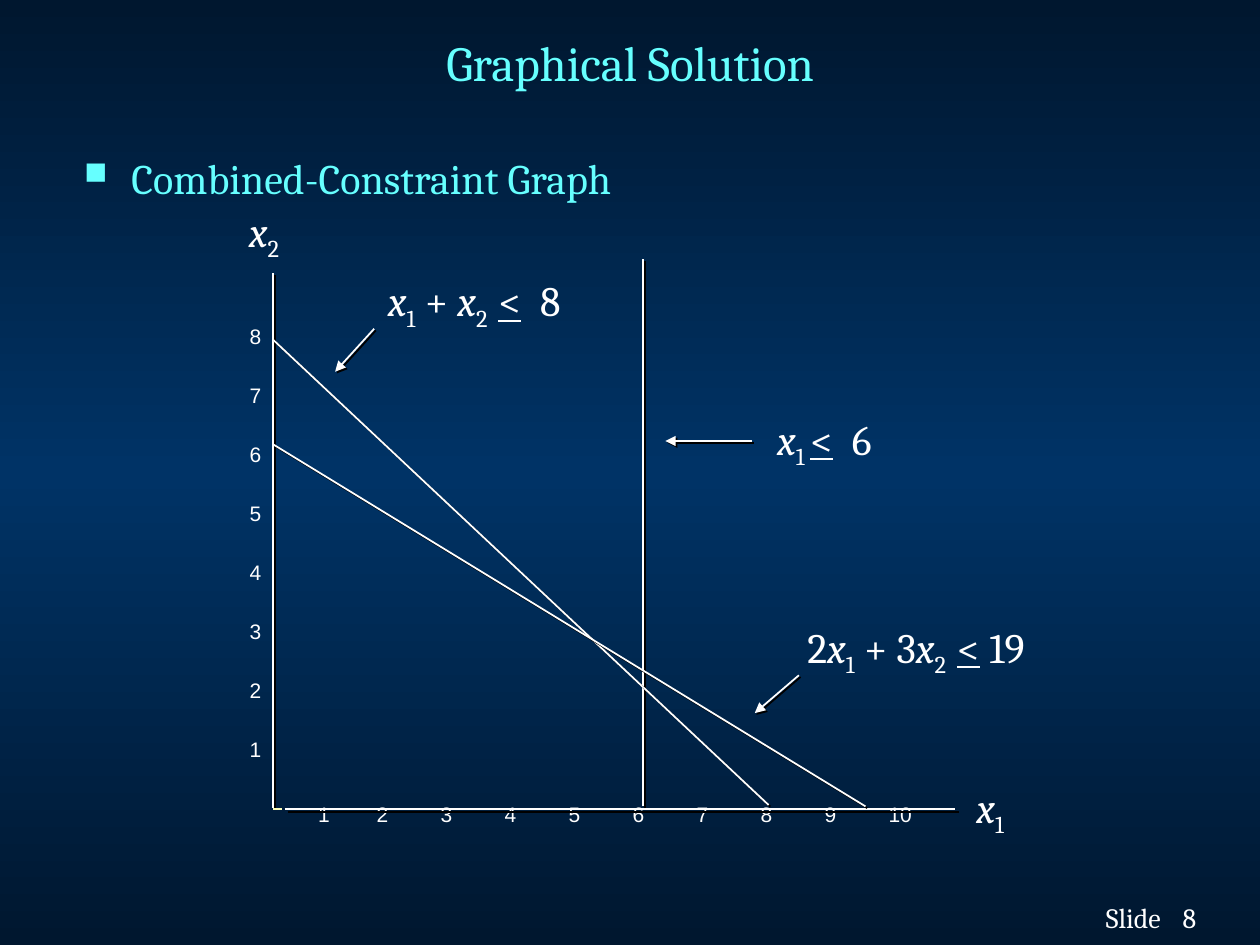
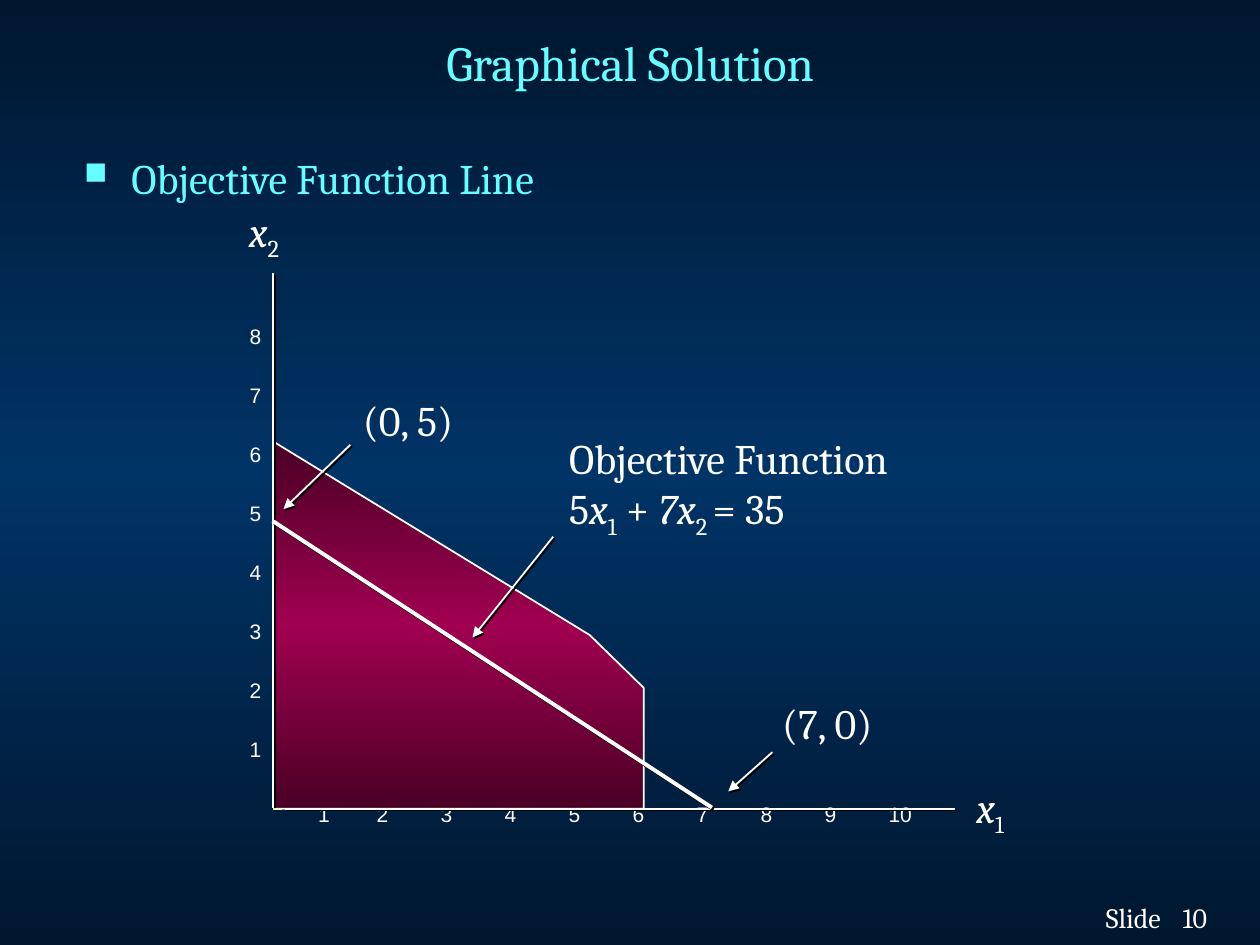
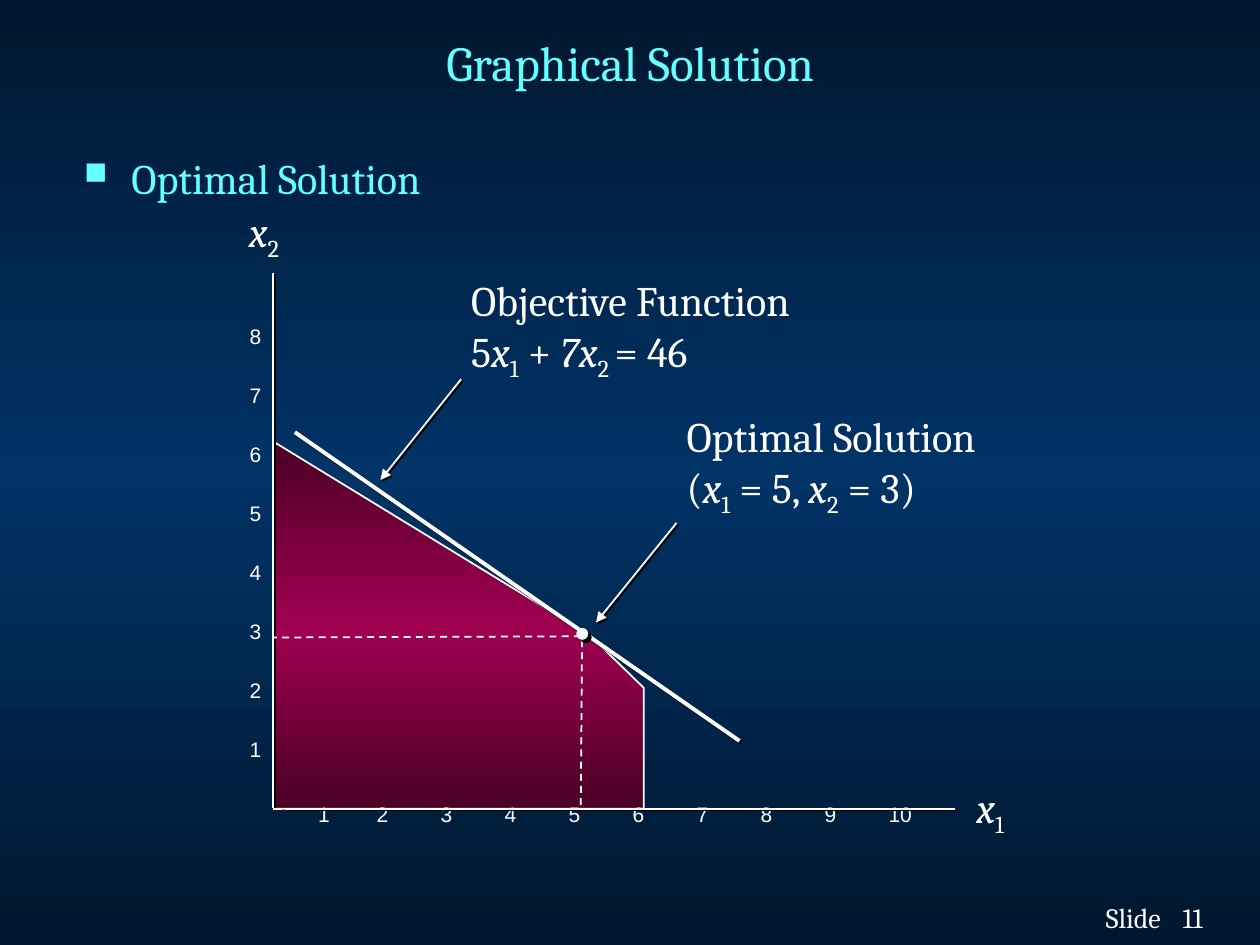
import copy

import pptx
import pptx.dml.color
import pptx.enum.dml
import pptx.enum.shapes
import pptx.enum.text
import pptx.oxml
import pptx.oxml.ns
import pptx.util
from pptx.util import Pt

COLOURS = {
    "background_edge": "00172F", "background_middle": "003366",
    "region_edge": "4A0025", "region_middle": "A00050",
    "heading": "66FFFF", "text": "FFFFFF", "origin": "FCFEB9", "shadow": "000000",
}
SERIF, SANS = "Cambria", "Arial"
TITLE = "Graphical Solution"

# A formula is a list of (text, style) runs.
X1 = [("x", "italic"), ("1", "subscript")]
X2 = [("x", "italic"), ("2", "subscript")]


def objective(value):
    return [[("Objective Function", "")],
            [("5", ""), *X1, (" + ", ""), ("7x", "italic"), ("2 ", "subscript"), (f"= {value}", "")]]


# Line styles: width, arrowhead, dashed, shadow
LINE_STYLES = {
    "plain": (1, False, False, True),
    "thick": (2.25, False, False, True),
    "arrow": (1, True, False, True),
    "dashed": (1, False, True, False),
    "origin": (1, False, False, False),
}
REGION = [(156.6, 252.6), (337, 362.9), (367.9, 393.1), (367.9, 462.2), (156.6, 462.2)]

# Labels: (left, top, width, height), paragraphs, shadowed
# Lines: x1, y1, x2, y2, style
SLIDES = [
    {
        "number": "8", "heading": "Combined-Constraint Graph", "axis_shadow": 2.8,
        "labels": [
            ((454.3, 351.4, 203.8, 36),
             [[("2", ""), *X1, (" + 3", ""), ("x", "italic"), ("2  ", "subscript"),
               ("<", "underline"), (" 19", "")]], False),
            ((214.6, 153.4, 131, 36),
             [[*X1, (" + ", ""), ("x", "italic"), ("2  ", "subscript"),
               ("<", "underline"), ("  8", "")]], False),
            ((437, 232.6, 78.5, 36),
             [[("x", "italic"), ("1 ", "subscript"), ("<", "underline"), ("  6", "")]], False),
        ],
        "lines": [
            (367.4, 460.8, 367.4, 148.3, "plain"),
            (155.8, 193.9, 439.2, 460, "plain"),
            (156.2, 254, 494.6, 460.8, "plain"),
            (213.8, 187.9, 191.5, 212.4, "arrow"),
            (429.8, 252, 380.2, 252, "arrow"),
            (456.5, 385.9, 431.3, 407.5, "arrow"),
        ],
    },
    {
        "number": "10", "heading": "Objective Function Line", "region": "over labels",
        "labels": [
            ((439.9, 395.3, 66.2, 36), [[("(7, 0)", "")]], False),
            ((200.2, 221.8, 66.2, 36), [[("(0, 5)", "")]], False),
            ((318.2, 243.4, 214.6, 64.8), objective(35), True),
        ],
        "lines": [
            (155.8, 297.7, 406.8, 461.5, "thick"),
            (441.4, 429.8, 416.2, 452.2, "arrow"),
            (316.1, 306.7, 270, 364.3, "arrow"),
            (200.2, 254.2, 162, 290.9, "arrow"),
        ],
    },
    {
        "number": "11", "heading": "Optimal Solution", "region": "under labels",
        "optimum": (329.8, 359.3, 5.8, 5.8),
        "labels": [
            ((262.1, 153.4, 214.6, 64.8), objective(46), True),
            ((385.2, 231.1, 198, 64.8),
             [[("Optimal Solution", "")],
              [("(", ""), *X1, (" = 5, ", ""), *X2, (" = 3)", "")]], True),
        ],
        "lines": [
            (168.5, 247, 422.6, 423.4, "thick"),
            (263.5, 216.7, 217.4, 274.3, "arrow"),
            (332.6, 365.8, 331.9, 460.8, "dashed"),
            (331.9, 363.6, 156.2, 364.3, "dashed"),
            (386.6, 298.8, 340.6, 355.7, "arrow"),
        ],
    },
]


def rgb(name):
    return pptx.dml.color.RGBColor.from_string(COLOURS[name])


def add_element(parent, xml, index=None):
    """Add a DrawingML element, written without its namespace, to parent."""
    namespace = pptx.oxml.ns.nsdecls("a")
    tag, rest = xml.split(" ", 1)
    element = pptx.oxml.parse_xml(f"{tag} {namespace} {rest}")
    parent.insert(len(parent) if index is None else index, element)


def add_shadow(parent, distance=1.4, index=None):
    add_element(parent, f'<a:effectLst ><a:outerShdw dist="{Pt(distance)}" dir="2700000">'
                f'<a:srgbClr val="{COLOURS["shadow"]}"/></a:outerShdw></a:effectLst>', index)


def set_gradient(fill, element, name):
    """Fill with a vertical gradient: edge, middle, edge."""
    fill.gradient()
    fill.gradient_angle = 270
    stops = next(element.iter(pptx.oxml.ns.qn("a:gsLst")))
    stops.append(copy.deepcopy(stops[0]))
    for stop, part, position in zip(fill.gradient_stops, ("edge", "middle", "edge"), (0, 0.5, 1)):
        stop.color.rgb = rgb(f"{name}_{part}")
        stop.position = position


def set_font(paragraph, size, colour="text", name=SERIF):
    font = paragraph.font
    font.size, font.name, font.color.rgb = Pt(size), name, rgb(colour)


def add_text(slide, box, paragraphs, size=24, colour="text", name=SERIF,
             wrap=True, shadowed=False, inset=True):
    """Add a text box whose paragraphs are lists of (text, style) runs."""
    shape = slide.shapes.add_textbox(*map(Pt, box))
    frame = shape.text_frame
    frame.word_wrap = wrap
    if not inset:
        frame.margin_left = frame.margin_right = frame.margin_top = frame.margin_bottom = 0
    for number, runs in enumerate(paragraphs):
        paragraph = frame.add_paragraph() if number else frame.paragraphs[0]
        for text, style in runs:
            run = paragraph.add_run()
            run.text = text
            if style == "italic":
                run.font.italic = True
            elif style == "underline":
                run.font.underline = True
            properties = run._r.get_or_add_rPr()
            if style == "subscript":
                properties.set("baseline", "-25000")
            if shadowed:
                add_shadow(properties, index=0)
        set_font(paragraph, size, colour, name)
    return frame


def add_line(slide, x1, y1, x2, y2, style, shadow=1.4):
    width, arrow, dashed, shadowed = LINE_STYLES[style]
    connector = slide.shapes.add_connector(
        pptx.enum.shapes.MSO_CONNECTOR.STRAIGHT, *map(Pt, (x1, y1, x2, y2)))
    line = connector.line
    line.width = Pt(width)
    line.color.rgb = rgb("origin" if style == "origin" else "text")
    if dashed:
        line.dash_style = pptx.enum.dml.MSO_LINE.DASH
    if arrow:
        add_element(line._get_or_add_ln(), '<a:tailEnd type="triangle"/>')
    properties = connector._element.spPr
    if shadowed:
        add_shadow(properties, shadow)
    else:
        add_element(properties, "<a:effectLst />")


def add_headings(slide, heading):
    frame = add_text(slide, (41.8, 3.6, 636.5, 64), [[(TITLE, "")]], 28, "heading")
    frame.vertical_anchor = pptx.enum.text.MSO_ANCHOR.MIDDLE
    frame.paragraphs[0].alignment = pptx.enum.text.PP_ALIGN.CENTER

    frame = add_text(slide, (41, 83.5, 638, 394), [[]])
    paragraph = frame.paragraphs[0]
    paragraph.add_run().text = heading
    properties = paragraph._p.get_or_add_pPr()
    properties.attrib.clear()
    for child in list(properties):
        properties.remove(child)
    properties.set("marL", str(Pt(27)))
    properties.set("indent", str(-Pt(27)))
    add_element(properties, f'<a:buClr ><a:srgbClr val="{COLOURS["heading"]}"/></a:buClr>')
    add_element(properties, '<a:buSzPct val="75000"/>')
    add_element(properties, '<a:buChar char="■"/>')
    set_font(paragraph, 24, "heading")


def add_footer(slide, number):
    for left, width, text in ((624.9, 50, "Slide"), (668.7, 40, number)):
        add_text(slide, (left, 510.8, width, 26), [[(text, "")]], 16, shadowed=True)


def add_axis_numbers(slide):
    frame = add_text(slide, (142.6, 184.9, 12, 246), [[(str(n), "")] for n in range(8, 0, -1)],
                     12, name=SANS, inset=False)
    for paragraph in frame.paragraphs[1:]:
        paragraph.space_before = Pt(19.3)

    frame = add_text(slide, (181.8, 458, 360, 14), [[]], inset=False)
    paragraph = frame.paragraphs[0]
    paragraph.add_run().text = "\t".join(str(n) for n in range(1, 11))
    properties = paragraph._p.get_or_add_pPr()
    for child in list(properties):
        properties.remove(child)
    tabs = "".join(f'<a:tab pos="{Pt(33.4 + 36.57 * n)}" algn="l"/>' for n in range(9))
    add_element(properties, f"<a:tabLst >{tabs}</a:tabLst>")
    set_font(paragraph, 12, name=SANS)


def add_axes(slide, shadow):
    add_line(slide, 162.7, 462.2, 545.8, 462.2, "plain", shadow)
    add_line(slide, 156.2, 156.2, 156.2, 461.5, "plain")
    add_line(slide, 156.2, 462.2, 161.3, 462.2, "origin")
    add_text(slide, (135.2, 113.8, 35.5, 36), [X2], wrap=False, shadowed=True)
    add_text(slide, (550.8, 442.8, 34.6, 36), [X1], wrap=False, shadowed=True)


def style_outline(shape):
    shape.line.color.rgb = rgb("text")
    shape.line.width = Pt(1)
    shape.shadow.inherit = False


def add_region(slide):
    start, *rest = [tuple(map(Pt, point)) for point in REGION]
    builder = slide.shapes.build_freeform(*start)
    builder.add_line_segments(rest, close=True)
    shape = builder.convert_to_shape()
    set_gradient(shape.fill, shape._element, "region")
    style_outline(shape)


def add_optimum(slide, box):
    shape = slide.shapes.add_shape(pptx.enum.shapes.MSO_SHAPE.OVAL, *map(Pt, box))
    shape.fill.solid()
    shape.fill.fore_color.rgb = rgb("text")
    style_outline(shape)
    properties = shape._element.spPr
    properties.remove(properties.find(pptx.oxml.ns.qn("a:effectLst")))
    add_shadow(properties, 2.8)


def build_slide(presentation, content):
    slide = presentation.slides.add_slide(presentation.slide_layouts[6])
    set_gradient(slide.background.fill, slide._element, "background")
    add_footer(slide, content["number"])
    region = content.get("region")
    if region == "under labels":
        add_region(slide)
    add_axis_numbers(slide)
    if region == "over labels":
        add_region(slide)
    add_headings(slide, content["heading"])
    add_axes(slide, content.get("axis_shadow", 1.4))
    for box, paragraphs, shadowed in content["labels"]:
        add_text(slide, box, paragraphs, wrap=False, shadowed=shadowed)
    for line in content["lines"]:
        add_line(slide, *line)
    if "optimum" in content:
        add_optimum(slide, content["optimum"])


def main():
    presentation = pptx.Presentation()
    presentation.slide_width, presentation.slide_height = Pt(720), Pt(540)
    for content in SLIDES:
        build_slide(presentation, content)
    presentation.save("out.pptx")


if __name__ == "__main__":
    main()
